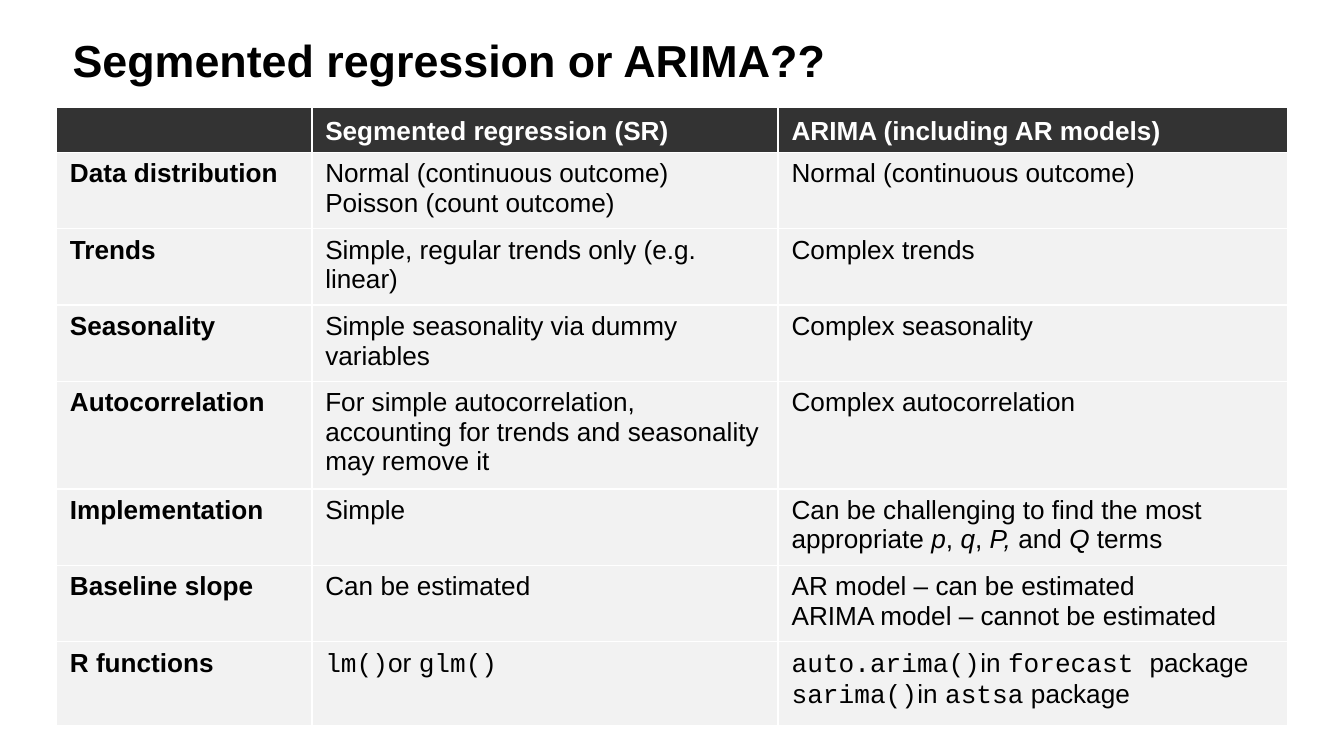
from pptx import Presentation
from pptx.dml.color import RGBColor
from pptx.enum import text
from pptx.util import Inches, Pt

BLACK = RGBColor(0x00, 0x00, 0x00)
WHITE = RGBColor(0xFF, 0xFF, 0xFF)
DARK = RGBColor(0x33, 0x33, 0x33)
PALE = RGBColor(0xF2, 0xF2, 0xF2)

COLS = [1.9, 3.47, 3.79]
HIGH = [0.32, 0.55, 0.57, 0.55, 0.78, 0.55, 0.55, 0.63]

# "|" parts runs, "_" opens an italic run, "`" opens a code run
ROWS = [
    ["", "Segmented regression (SR)", "ARIMA (including AR models)"],
    ["Data distribution",
     "Normal (continuous outcome) Poisson (count outcome)",
     "Normal (continuous outcome)"],
    ["Trends", "Simple, regular trends only (e.g. linear)", "Complex trends"],
    ["Seasonality", "Simple seasonality via dummy variables",
     "Complex seasonality"],
    ["Autocorrelation",
     "For simple autocorrelation, accounting for trends and seasonality "
     "may remove it",
     "Complex autocorrelation"],
    ["Implementation", "Simple",
     "Can be challenging to find the most appropriate "
     "|_p|, |_q|, |_P, |and |_Q| terms"],
    ["Baseline slope", "Can be estimated",
     "AR model – can be estimated\nARIMA model – cannot be estimated"],
    ["R functions", "`lm()|or |`glm()",
     "`auto.arima()|in |`forecast |package\n`sarima()|in |`astsa| package"],
]


def write(frame, words, size, color, bold):
    """Fill a text frame, reading the run marks in words."""
    for n, line in enumerate(words.split("\n")):
        para = frame.add_paragraph() if n else frame.paragraphs[0]
        para.font.size = Pt(size)
        para.alignment = text.PP_ALIGN.LEFT
        for part in filter(None, line.split("|")):
            run = para.add_run()
            run.text = part.lstrip("_`")
            font = run.font
            font.name = "Courier New" if part[0] == "`" else "Arial"
            font.size = Pt(size)
            font.bold = bold
            font.italic = part[0] == "_"
            font.color.rgb = color


prs = Presentation()
prs.slide_width = Inches(10)
prs.slide_height = Inches(10) * 9 // 16
slide = prs.slides.add_slide(prs.slide_layouts[6])

title = slide.shapes.add_textbox(
    Inches(0.54), Inches(0.24), Inches(8.92), Inches(0.4)).text_frame
title.word_wrap = True
title.margin_left = title.margin_right = 0
title.margin_top = title.margin_bottom = 0
write(title, "Segmented regression or ARIMA??", 24, BLACK, True)

# The default table style draws the white rules between cells
table = slide.shapes.add_table(
    len(ROWS), len(COLS), Inches(0.42), Inches(0.8),
    Inches(sum(COLS)), Inches(sum(HIGH))).table
for col, wide in zip(table.columns, COLS):
    col.width = Inches(wide)
for row, high in zip(table.rows, HIGH):
    row.height = Inches(high)

for r, row in enumerate(ROWS):
    head = r == 0
    for c, words in enumerate(row):
        cell = table.cell(r, c)
        write(cell.text_frame, words, 14, WHITE if head else BLACK,
              head or c == 0)
        if head:
            cell.vertical_anchor = text.MSO_ANCHOR.BOTTOM
        cell.fill.solid()
        cell.fill.fore_color.rgb = DARK if head else PALE

prs.save("out.pptx")
